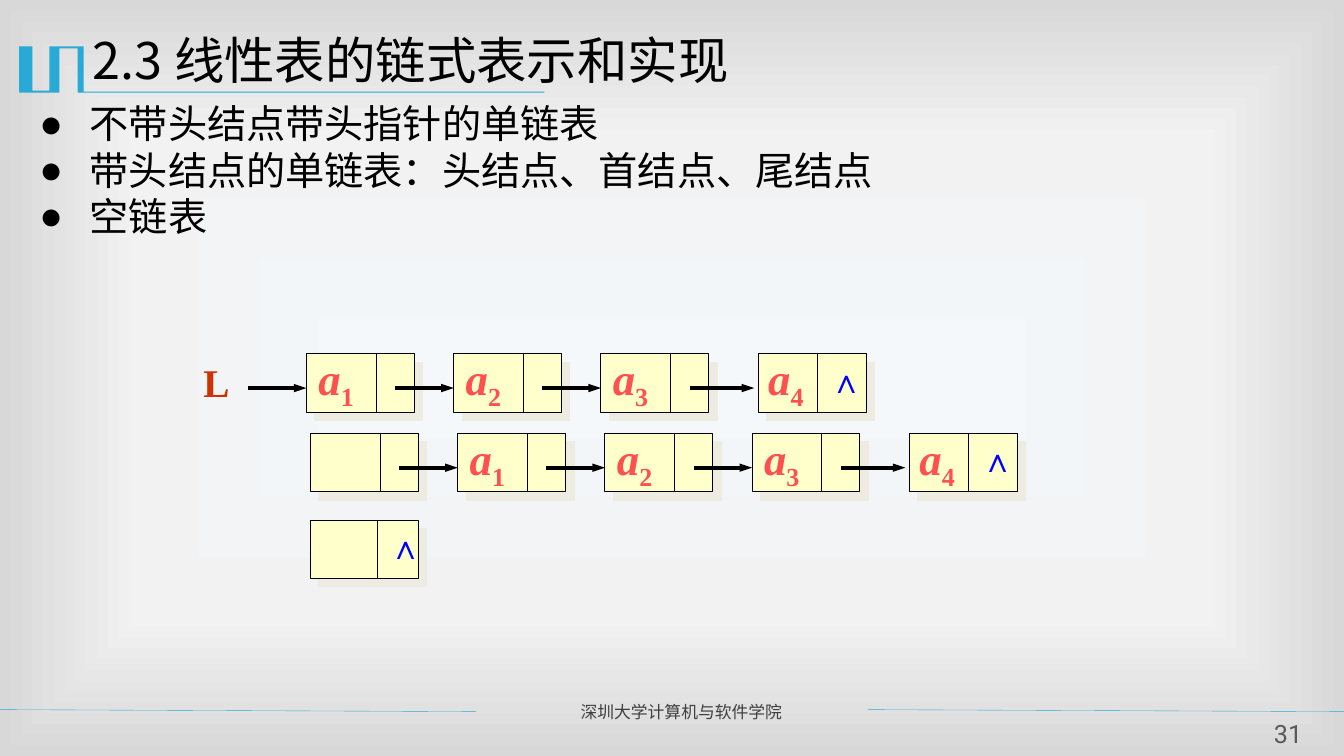
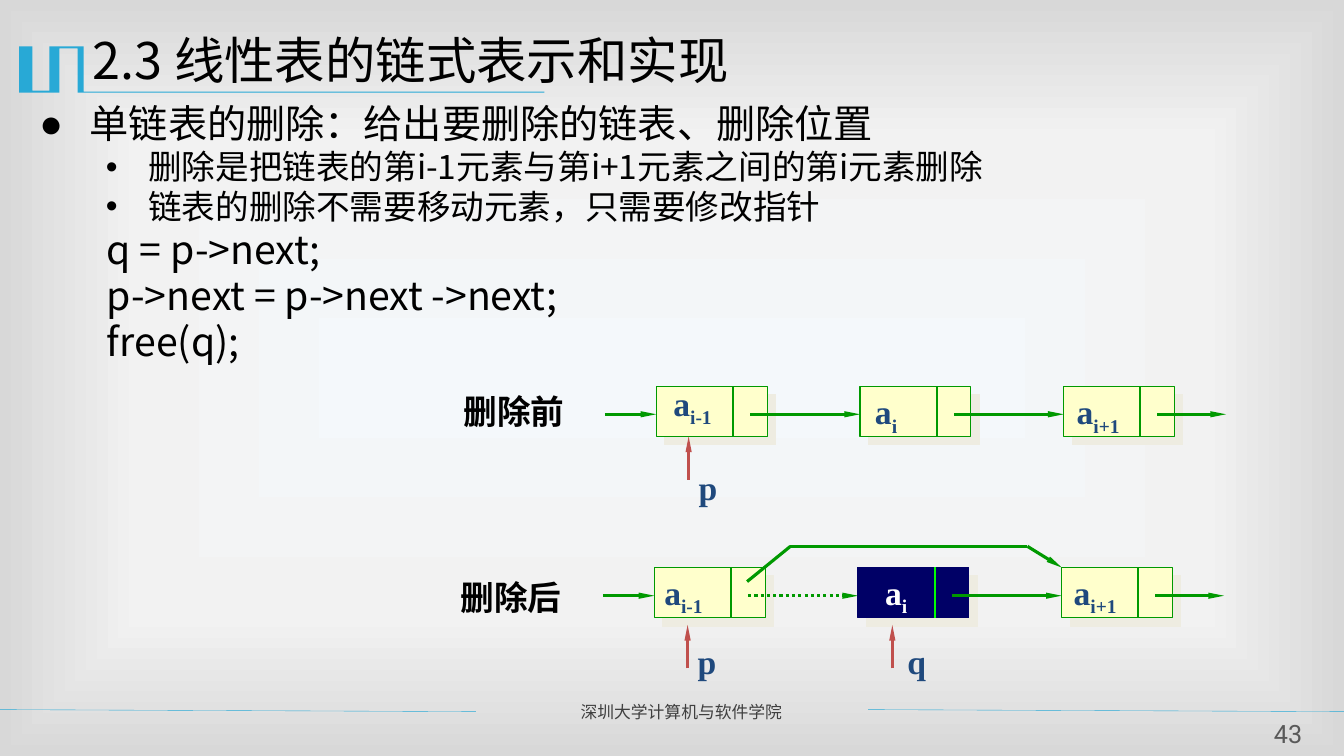
"""Build two lecture slides on singly linked lists."""
from itertools import pairwise

from pptx import Presentation
from pptx.dml.color import RGBColor
from pptx.enum.dml import MSO_LINE
from pptx.enum.shapes import MSO_CONNECTOR, MSO_SHAPE
from pptx.enum.text import MSO_ANCHOR, MSO_AUTO_SIZE, PP_ALIGN
from pptx.oxml import parse_xml
from pptx.oxml.ns import nsdecls, qn
from pptx.util import Inches, Pt

BLACK = RGBColor(0x00, 0x00, 0x00)
WHITE = RGBColor(0xFF, 0xFF, 0xFF)
CYAN = RGBColor(0x28, 0xA9, 0xD6)
DARK = RGBColor(0x3F, 0x3F, 0x3F)
GREY = RGBColor(0x59, 0x59, 0x59)
CREAM = RGBColor(0xFF, 0xFF, 0xCC)
SHADE = RGBColor(0xEE, 0xEC, 0xE1)
CORAL = RGBColor(0xFF, 0x50, 0x50)
RUST = RGBColor(0xCC, 0x33, 0x00)
BLUE = RGBColor(0x00, 0x00, 0xFF)
STEEL = RGBColor(0x1F, 0x49, 0x7D)
GREEN = RGBColor(0x00, 0x99, 0x00)
LIME = RGBColor(0x00, 0xFF, 0x00)
NAVY = RGBColor(0x00, 0x00, 0x66)
RED = RGBColor(0xC0, 0x50, 0x4D)
STOPS = (
    (0, RGBColor(0xF4, 0xF8, 0xFB)),
    (63, RGBColor(0xF2, 0xF2, 0xF2)),
    (100, RGBColor(0xD8, 0xD8, 0xD8)),
)

HAN = "Noto Sans CJK SC"
SERIF = "Times New Roman"
SANS = "Roboto"
LATO = "Lato"

TITLE = "2.3 线性表的链式表示和实现"
SCHOOL = "深圳大学计算机与软件学院"
BADGE = (
    (0.83, 0.46), (0.83, 0.91), (5.4, 0.91), (5.4, 0.92), (0.77, 0.92),
    (0.77, 0.48), (0.59, 0.48), (0.59, 0.92), (0.19, 0.92), (0.19, 0.46),
    (0.32, 0.46), (0.32, 0.9), (0.49, 0.9), (0.49, 0.46),
)
LEVELS = {
    "main": (0, 28, 0.5, -0.5, "●"),
    "sub": (1, 24, 1.08, -0.42, "•"),
    "code": (1, 28, 0.67, 0, None),
}


def style(run, size, color, face, bold=False, slant=False):
    """Set the font of a run for Latin and Chinese text."""
    font = run.font
    font.size, font.name = Pt(size), face
    font.bold, font.italic = bold, slant
    font.color.rgb = color
    tag = parse_xml(f'<a:ea {nsdecls("a")} typeface="{HAN}"/>')
    font._element.find(qn("a:latin")).addnext(tag)


def place(shape, left, top, width, height):
    """Move and size a shape in inches."""
    shape.left, shape.top = Inches(left), Inches(top)
    shape.width, shape.height = Inches(width), Inches(height)


def write(slide, text, box, size, color, face, bold=False, wrap=True):
    """Add a text box with one styled run."""
    shape = slide.shapes.add_textbox(*map(Inches, box))
    frame = shape.text_frame
    frame.word_wrap = wrap
    frame.text = text
    style(frame.paragraphs[0].runs[0], size, color, face, bold)
    return shape


def label(slide, name, index, box, size, color, slant=False):
    """Add a bold serif letter with a subscript."""
    shape = write(slide, name, box, size, color, SERIF, True, False)
    para = shape.text_frame.paragraphs[0]
    para.runs[0].font.italic = slant
    low = para.add_run()
    low.text = index
    style(low, size, color, SERIF, True)
    low.font._element.set("baseline", "-25000")


def line(slide, start, end, color, width, head=None):
    """Add a straight line, with an arrowhead of the given length if any."""
    ends = map(Inches, (*start, *end))
    link = slide.shapes.add_connector(MSO_CONNECTOR.STRAIGHT, *ends)
    link.line.color.rgb = color
    link.line.width = Pt(width)
    if head:
        tip = f'<a:tailEnd {nsdecls("a")} type="triangle" w="sm" len="{head}"/>'
        link.line._get_or_add_ln().append(parse_xml(tip))
    link.element.spPr.append(parse_xml(f'<a:effectLst {nsdecls("a")}/>'))
    return link


def node(slide, box, bar, fill, edge, rule, width):
    """Add a shadowed list node split by a bar."""
    left, top, _, height = box
    shape = slide.shapes.add_shape(MSO_SHAPE.RECTANGLE, *map(Inches, box))
    shape.fill.solid()
    shape.fill.fore_color.rgb = fill
    shape.line.color.rgb = edge
    shape.line.width = Pt(0.75)
    shape.element.spPr.append(parse_xml(
        f'<a:effectLst {nsdecls("a")}>'
        f'<a:outerShdw dist="{Pt(8.5)}" dir="2700000" algn="ctr" rotWithShape="0">'
        f'<a:srgbClr val="{SHADE}"/></a:outerShdw></a:effectLst>'))
    x = left + bar
    line(slide, (x, top), (x, top + height), rule, width)


def chain(slide, left, top, names, bar=0.59):
    """Draw a linked list whose last node holds the null mark."""
    last = len(names) - 1
    for i, name in enumerate(names):
        final = i == last
        x = left + 1.46 * i + (0.1 if final and i else 0)
        split = bar if final else 0.69
        node(slide, (x, top, 1.07, 0.58), split, CREAM, BLACK, BLACK, 0.75)
        if name:
            spot = (x + (0 if final else 0.02), top - 0.08, 0.57, 0.64)
            label(slide, "a", name, spot, 32, CORAL, True)
        if final:
            spot = (x + bar + 0.02, top + 0.01, 0.47, 0.5)
            write(slide, "∧", spot, 24, BLUE, SERIF, True)
        else:
            span = 0.64 if i == last - 1 else 0.58
            y = top + 0.34
            line(slide, (x + 0.88, y), (x + 0.88 + span, y), BLACK, 3, "med")


def track(slide, left, top, shifts, cut=False):
    """Draw the three nodes around a deletion, the middle one cut or not."""
    y = top + 0.28
    line(slide, (left - 0.51, y), (left, y), GREEN, 2.25, "lg")
    parts = zip(("i-1", "i", "i+1"), (0.61, 0.43, 0.66), (2.02, 2.02, 1.61), shifts)
    for i, (name, width, reach, (dx, dy)) in enumerate(parts):
        x = left + 2.02 * i
        gone = cut and i == 1
        fill, edge, rule, ink = (
            (NAVY, NAVY, LIME, WHITE) if gone else (CREAM, GREEN, GREEN, STEEL))
        node(slide, (x, top, 1.1, 0.5), 0.76, fill, edge, rule, 1.5)
        label(slide, "a", name, (x + dx, top + dy, width, 0.5), 24, ink)
        link = line(slide, (x + 0.93, y), (x + reach, y), GREEN, 2.25, "lg")
        if cut and i == 0:
            link.line.dash_style = MSO_LINE.ROUND_DOT


def pointer(slide, name, x, tip, dx, dy):
    """Draw a red arrow up to a node, with its name."""
    line(slide, (x, tip + 0.43), (x, tip), RED, 2.25, "lg")
    write(slide, name, (x + dx, tip + dy, 0.39, 0.5), 24, STEEL, SERIF, True, False)


def prepare(layout):
    """Set the backdrop and the placeholders of the layout."""
    stops = "".join(
        f'<a:gs pos="{pos * 1000}"><a:srgbClr val="{color}"/></a:gs>'
        for pos, color in STOPS)
    layout.element.find(qn("p:cSld")).insert(0, parse_xml(
        f'<p:bg {nsdecls("p", "a")}><p:bgPr><a:gradFill rotWithShape="1">'
        f'<a:gsLst>{stops}</a:gsLst><a:path path="rect">'
        '<a:fillToRect l="50000" t="50000" r="50000" b="50000"/></a:path>'
        '</a:gradFill><a:effectLst/></p:bgPr></p:bg>'))
    title, body, *rest = layout.placeholders
    place(title, 0.82, 0.24, 12, 0.87)
    place(body, 0.29, 0.99, 12.13, 5.63)
    for spare in rest:
        spare.element.getparent().remove(spare.element)


def adorn(layout, slide):
    """Draw the badge and the footer, then move them to the layout."""
    first, *others = [(Inches(x), Inches(y)) for x, y in BADGE]
    pen = slide.shapes.build_freeform(*first)
    pen.add_line_segments(others, close=True)
    badge = pen.convert_to_shape()
    badge.shadow.inherit = False
    badge.fill.solid()
    badge.fill.fore_color.rgb = CYAN
    badge.line.fill.background()
    rules = [line(slide, (x, 7.04), (x + 4.72, 7.06), CYAN, 0.25) for x in (0, 8.61)]
    foot = write(slide, SCHOOL, (5.66, 6.91, 2.85, 0.3), 12, DARK, SANS)
    for shape in (badge, *rules, foot):
        layout.shapes.element.append(shape.element)


def fill(slide, page, items):
    """Write the title, the list and the page number."""
    head, body = slide.placeholders
    frame = head.text_frame
    frame.text = TITLE
    frame.vertical_anchor = MSO_ANCHOR.TOP
    frame.auto_size = MSO_AUTO_SIZE.NONE
    frame.paragraphs[0].alignment = PP_ALIGN.LEFT
    style(frame.paragraphs[0].runs[0], 36, BLACK, HAN)

    frame = body.text_frame
    frame.text = "\n".join(text for _, text in items)
    frame.auto_size = MSO_AUTO_SIZE.NONE
    for i, (para, (kind, _)) in enumerate(zip(frame.paragraphs, items)):
        level, size, left, hang, mark = LEVELS[kind]
        para.level = level
        para.line_spacing = 0.9
        para.space_before = Pt(size * 0.1 if i else 0)
        props = para._p.get_or_add_pPr()
        props.set("marL", str(Inches(left)))
        props.set("indent", str(Inches(hang)))
        bullet = f'buChar {nsdecls("a")} char="{mark}"' if mark else f'buNone {nsdecls("a")}'
        props.append(parse_xml(f"<a:{bullet}/>"))
        style(para.runs[0], size, BLACK, HAN)

    shape = write(slide, page, (12.48, 7.13, 0.59, 0.31), 18, GREY, SANS)
    frame = shape.text_frame
    frame.margin_left = frame.margin_right = 0
    frame.margin_top = frame.margin_bottom = 0
    frame.paragraphs[0].alignment = PP_ALIGN.CENTER


def kinds(slide):
    """Show lists without and with a head node, and an empty list."""
    fill(slide, "31", [
        ("main", "不带头结点带头指针的单链表"),
        ("main", "带头结点的单链表：头结点、首结点、尾结点"),
        ("main", "空链表"),
    ])
    write(slide, "L", (1.92, 3.51, 0.46, 0.57), 28, RUST, SERIF, True, False)
    line(slide, (2.46, 3.85), (3.04, 3.85), BLACK, 3, "med")
    chain(slide, 3.04, 3.51, "1234")
    chain(slide, 3.08, 4.3, ["", *"1234"])
    chain(slide, 3.08, 5.16, [""], 0.66)


def erase(slide):
    """Show a list before and after a deletion."""
    fill(slide, "43", [
        ("main", "单链表的删除：给出要删除的链表、删除位置"),
        ("sub", "删除是把链表的第i-1元素与第i+1元素之间的第i元素删除"),
        ("sub", "链表的删除不需要移动元素，只需要修改指针"),
        ("code", "q = p->next;"),
        ("code", "p->next = p->next ->next;"),
        ("code", "free(q);"),
    ])
    write(slide, "删除前", (4.5, 3.83, 1.67, 0.5), 24, BLACK, LATO, True)
    track(slide, 6.51, 3.83, ((0.07, -0.08), (0.05, 0), (0.03, 0)))
    pointer(slide, "p", 6.83, 4.33, 0, 0.25)

    write(slide, "删除后", (4.47, 5.67, 1.25, 0.5), 24, BLACK, LATO, True)
    track(slide, 6.49, 5.63, ((0, -0.01), (0.17, -0.01), (0.02, -0.01)), True)
    pointer(slide, "p", 6.82, 6.2, 0, 0.11)
    pointer(slide, "q", 8.85, 6.2, 0.05, 0.11)
    bends = ((7.41, 5.77), (7.84, 5.42), (10.19, 5.42), (10.53, 5.63))
    for start, end in pairwise(bends):
        line(slide, start, end, GREEN, 2.25, "lg" if end == bends[-1] else None)


def main():
    """Build and save the deck."""
    deck = Presentation()
    deck.slide_width, deck.slide_height = Inches(13.33), Inches(7.5)
    layout = deck.slide_layouts[1]
    prepare(layout)
    first, second = (deck.slides.add_slide(layout) for _ in range(2))
    adorn(layout, first)
    kinds(first)
    erase(second)
    deck.save("out.pptx")


if __name__ == "__main__":
    main()
